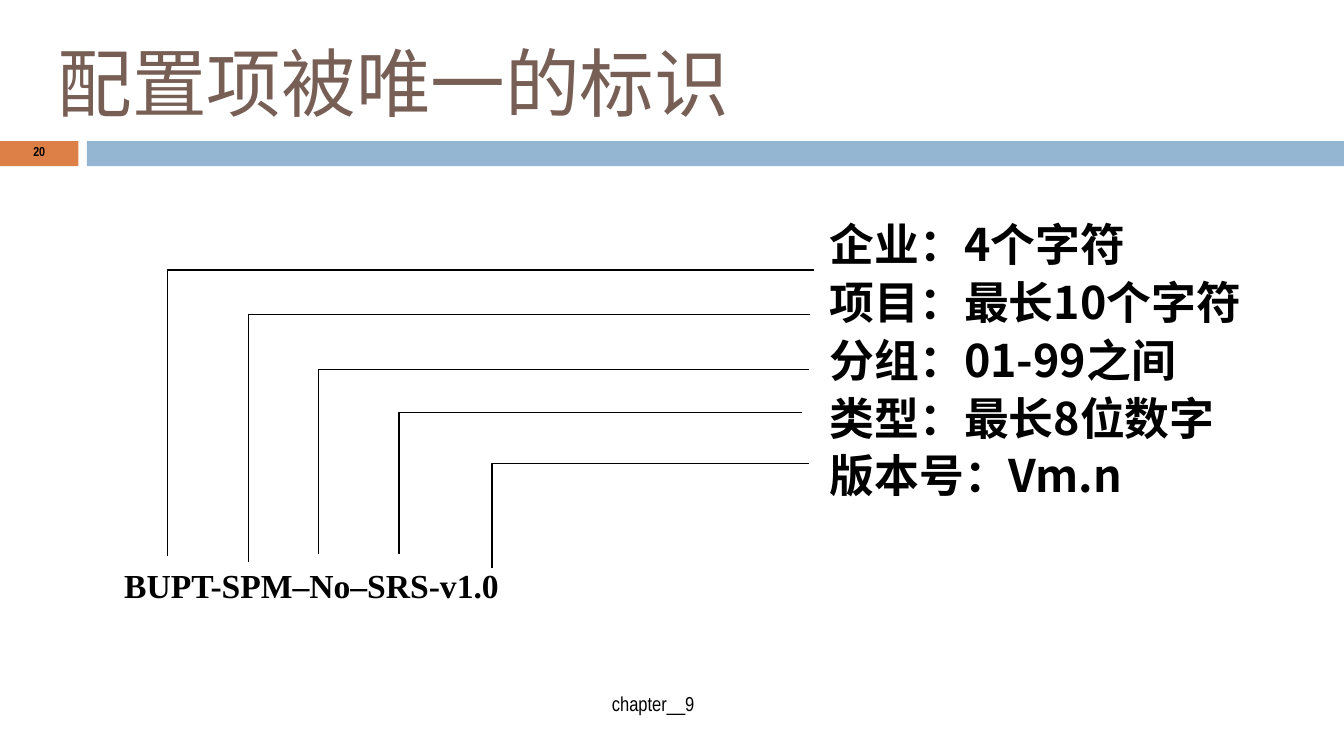
from lxml import etree
from pptx import Presentation
from pptx import util as u
from pptx.dml.color import RGBColor
from pptx.enum import shapes, text
from pptx.oxml.ns import qn

BLACK = RGBColor(0x00, 0x00, 0x00)
WHITE = RGBColor(0xFF, 0xFF, 0xFF)
BROWN = RGBColor(0x77, 0x5F, 0x55)
ORANGE = RGBColor(0xDD, 0x80, 0x47)
BLUE = RGBColor(0x94, 0xB6, 0xD2)
HAN = "Noto Sans CJK SC"
NARROW = "Arial Narrow"
CENTER = text.PP_ALIGN.CENTER
JUSTIFY = text.PP_ALIGN.JUSTIFY

deck = Presentation()
deck.slide_width = u.Inches(10)
deck.slide_height = deck.slide_width * 9 // 16
col = deck.slide_width / 100
row = deck.slide_height / 56.25
slide = deck.slides.add_slide(deck.slide_layouts[5])


def grid(left, top, width, height):
    return [round(n * step) for n, step in
            ((left, col), (top, row), (width, col), (height, row))]


def write(frame, lines, face, size, color, bold, align, spacing=1.0, after=0):
    frame.word_wrap = True
    frame.auto_size = text.MSO_AUTO_SIZE.NONE
    for i, line in enumerate(lines):
        para = frame.add_paragraph() if i else frame.paragraphs[0]
        para.alignment = align
        para.line_spacing = spacing
        para.space_before = u.Pt(0)
        para.space_after = u.Pt(after)
        run = para.add_run()
        run.text = line
        run.font.name = face
        run.font.size = u.Pt(size)
        run.font.bold = bold
        run.font.color.rgb = color
        etree.SubElement(run.font._element, qn("a:ea"), typeface=face)


for left, width, color in ((0, 5.83, ORANGE), (6.46, 93.54, BLUE)):
    band = slide.shapes.add_shape(shapes.MSO_SHAPE.RECTANGLE, *grid(left, 10.5, width, 1.87))
    band.shadow.inherit = False
    band.fill.solid()
    band.fill.fore_color.rgb = color
    band.line.fill.background()

heading = slide.shapes.title
heading.left, heading.top, heading.width, heading.height = grid(3.3, 2, 89.2, 8.1)
heading.text_frame.vertical_anchor = text.MSO_ANCHOR.MIDDLE
write(heading.text_frame, ["配置项被唯一的标识"], HAN, 40, BROWN, False, text.PP_ALIGN.LEFT)

for place, words, size, bold in (
    ((18.9, 51, 59.4, 3), "chapter__9", 10.8, False),
    ((0, 10.4, 5.83, 2), "20", 7, True),
):
    label = slide.shapes.add_textbox(*grid(*place))
    label.text_frame.vertical_anchor = text.MSO_ANCHOR.MIDDLE
    write(label.text_frame, [words], NARROW, size, BLACK, bold, CENTER, 0.8)

fields = ["企业：4个字符", "项目：最长10个字符", "分组：01-99之间", "类型：最长8位数字", "版本号：Vm.n"]
for place, lines, face, size, spacing, after in (
    ((8.25, 41.55, 50.2, 6), ["BUPT-SPM–No–SRS-v1.0"], "Times New Roman", 18, 1.0, 0),
    ((60.75, 15.5, 34.7, 26.9), fields, HAN, 24, 1.04, 1),
):
    panel = slide.shapes.add_shape(shapes.MSO_SHAPE.RECTANGLE, *grid(*place))
    panel.shadow.inherit = False
    panel.fill.solid()
    panel.fill.fore_color.rgb = WHITE
    panel.line.fill.background()
    panel.text_frame.vertical_anchor = text.MSO_ANCHOR.TOP
    write(panel.text_frame, lines, face, size, BLACK, True, JUSTIFY, spacing, after)

for code_x, code_y, field_x, field_y in (
    (12.45, 41.4, 60.6, 20.1),
    (18.5, 41.8, 60.3, 23.4),
    (23.7, 41.2, 60.2, 27.5),
    (29.7, 41.2, 59.7, 30.7),
    (36.6, 42.3, 60.2, 34.5),
):
    bracket = slide.shapes.build_freeform(round(code_x * col), round(code_y * row))
    bracket.add_line_segments(
        [(round(x * col), round(field_y * row)) for x in (code_x, field_x)], close=False)
    leader = bracket.convert_to_shape()
    leader.shadow.inherit = False
    leader.fill.background()
    leader.line.color.rgb = BLACK
    leader.line.width = u.Pt(0.75)

deck.save("out.pptx")
